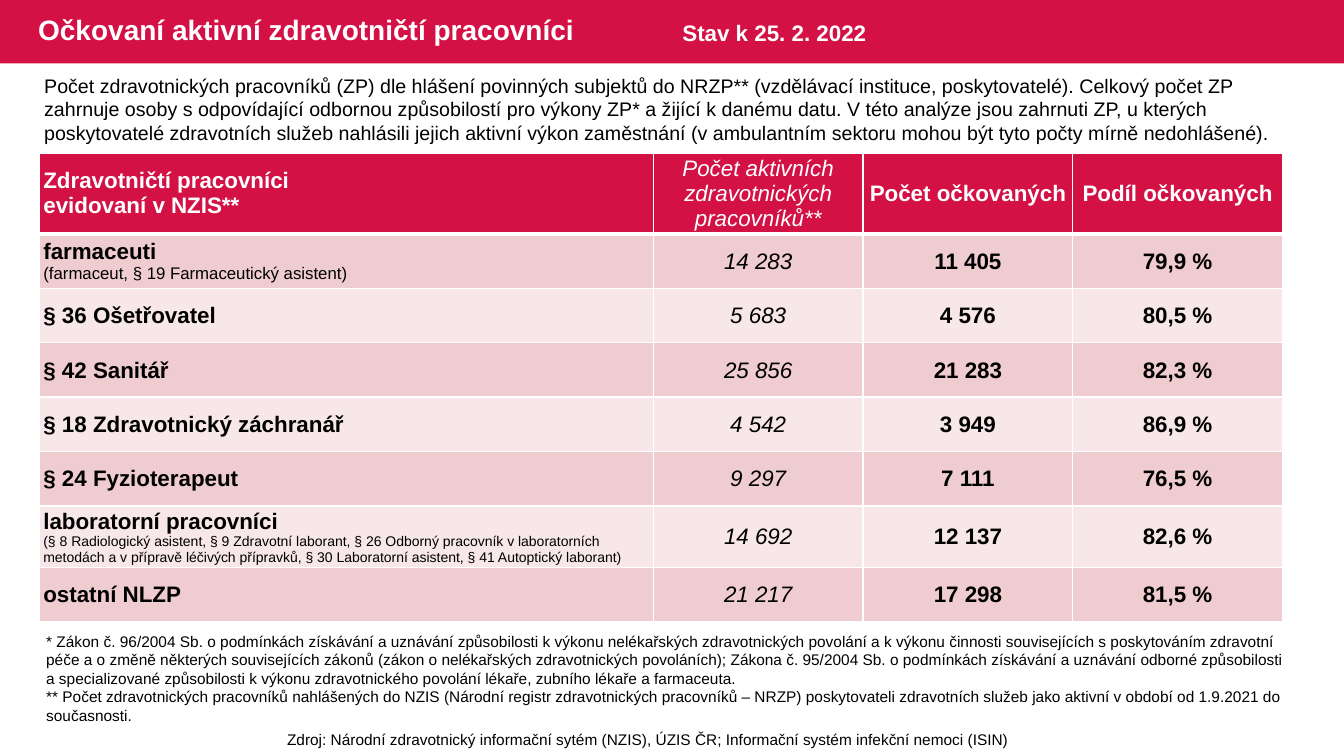
from dataclasses import dataclass

from lxml.etree import SubElement
from pptx import Presentation
from pptx.dml.color import RGBColor
from pptx.enum.shapes import MSO_SHAPE as Preset
from pptx.enum.text import MSO_ANCHOR as Anchor, PP_ALIGN as Align
from pptx.oxml.ns import qn
from pptx.slide import Slide
from pptx.table import _Cell as Cell
from pptx.text.text import TextFrame
from pptx.util import Emu, Pt

PX = 9144


@dataclass(frozen=True)
class Theme:
    font: str = "Arial"
    crimson: str = "D31145"
    dark_band: str = "EFCCCF"
    light_band: str = "F7E7E9"
    white: str = "FFFFFF"
    black: str = "000000"
    title: int = 20
    body: int = 16
    intro: int = 14
    detail: int = 12
    note: int = 11
    small: int = 10


THEME = Theme()


@dataclass(frozen=True)
class Line:
    text: str
    size: int
    color: str = THEME.black
    bold: bool = False
    italic: bool = False


@dataclass(frozen=True)
class Block:
    left: int
    top: int
    width: int
    height: int
    lines: tuple[Line, ...]
    align: Align = Align.LEFT
    anchor: Anchor = Anchor.TOP
    spacing: float = 1.0


@dataclass(frozen=True)
class Profession:
    name: str
    active: str
    vaccinated: str
    share: str
    detail: str = ""
    detail_size: int = THEME.detail
    height: int = 54


BLOCKS = (
    Block(28, 0, 813, 63,
          (Line("Očkovaní aktivní zdravotničtí pracovníci", THEME.title, THEME.white, True),),
          anchor=Anchor.MIDDLE, spacing=0.9),
    Block(36, 622, 1253, 103, (
        Line("* Zákon č. 96/2004 Sb. o podmínkách získávání a uznávání způsobilosti k výkonu "
             "nelékařských zdravotnických povolání a k výkonu činnosti souvisejících s poskytováním "
             "zdravotní péče a o změně některých souvisejících zákonů (zákon o nelékařských "
             "zdravotnických povoláních); Zákona č. 95/2004 Sb. o podmínkách získávání a uznávání "
             "odborné způsobilosti a specializované způsobilosti k výkonu zdravotnického povolání "
             "lékaře, zubního lékaře a farmaceuta.", THEME.note),
        Line("** Počet zdravotnických pracovníků nahlášených do NZIS (Národní registr zdravotnických "
             "pracovníků – NRZP) poskytovateli zdravotních služeb jako aktivní v období od 1.9.2021 "
             "do současnosti.", THEME.note),
    )),
    Block(34, 68, 1264, 81, (
        Line("Počet zdravotnických pracovníků (ZP) dle hlášení povinných subjektů do NRZP** "
             "(vzdělávací instituce, poskytovatelé). Celkový počet ZP zahrnuje osoby s odpovídající "
             "odbornou způsobilostí pro výkony ZP* a žijící k danému datu. V této analýze jsou "
             "zahrnuti ZP, u kterých poskytovatelé zdravotních služeb nahlásili jejich aktivní výkon "
             "zaměstnání (v ambulantním sektoru mohou být tyto počty mírně nedohlášené).",
             THEME.intro),
    )),
    Block(667, 14, 220, 37, (Line("Stav k 25. 2. 2022", THEME.body, THEME.white, True),)),
    Block(190, 719, 906, 29, (
        Line("Zdroj: Národní zdravotnický informační sytém (NZIS), ÚZIS ČR; "
             "Informační systém infekční nemoci (ISIN)", THEME.note),
    ), align=Align.CENTER),
)

COLUMN_WIDTHS = (609, 208, 208, 208)
HEADER_HEIGHT = 75
HEADINGS = (
    ("Zdravotničtí pracovníci", "evidovaní v NZIS**"),
    ("Počet aktivních zdravotnických pracovníků**",),
    ("Počet očkovaných",),
    ("Podíl očkovaných",),
)
ACTIVE_COLUMN = 1
PROFESSIONS = (
    Profession("farmaceuti", "14 283", "11 405", "79,9 %",
               "(farmaceut, § 19 Farmaceutický asistent)"),
    Profession("§ 36 Ošetřovatel", "5 683", "4 576", "80,5 %"),
    Profession("§ 42 Sanitář", "25 856", "21 283", "82,3 %"),
    Profession("§ 18 Zdravotnický záchranář", "4 542", "3 949", "86,9 %"),
    Profession("§ 24 Fyzioterapeut", "9 297", "7 111", "76,5 %"),
    Profession("laboratorní pracovníci", "14 692", "12 137", "82,6 %",
               "(§ 8 Radiologický asistent, § 9 Zdravotní laborant, § 26 Odborný pracovník v "
               "laboratorních metodách a v přípravě léčivých přípravků, § 30 Laboratorní asistent, "
               "§ 41 Autoptický laborant)", THEME.small, 57),
    Profession("ostatní NLZP", "21 217", "17 298", "81,5 %"),
)


def px(length: int) -> Emu:
    return Emu(length * PX)


def write_lines(frame: TextFrame, lines: tuple[Line, ...], align: Align,
                spacing: float = 1.0) -> None:
    for index, line in enumerate(lines):
        paragraph = frame.add_paragraph() if index else frame.paragraphs[0]
        paragraph.alignment = align
        paragraph.line_spacing = spacing
        run = paragraph.add_run()
        run.text = line.text
        run.font.name = THEME.font
        run.font.size = Pt(line.size)
        run.font.bold = line.bold
        run.font.italic = line.italic
        run.font.color.rgb = RGBColor.from_string(line.color)


def add_block(slide: Slide, block: Block) -> None:
    box = slide.shapes.add_textbox(px(block.left), px(block.top), px(block.width), px(block.height))
    frame = box.text_frame
    frame.word_wrap = True
    frame.vertical_anchor = block.anchor
    write_lines(frame, block.lines, block.align, block.spacing)


def add_banner(slide: Slide) -> None:
    banner = slide.shapes.add_shape(Preset.RECTANGLE, 0, 0, px(1333), px(63))
    banner.shadow.inherit = False
    banner.fill.solid()
    banner.fill.fore_color.rgb = RGBColor.from_string(THEME.crimson)
    banner.line.fill.background()


def set_borders(cell: Cell, top: int, bottom: int) -> None:
    properties = cell._tc.get_or_add_tcPr()
    for side, width in (("L", 1), ("R", 1), ("T", top), ("B", bottom)):
        border = SubElement(properties, qn(f"a:ln{side}"), w=str(Pt(width)))
        fill = SubElement(border, qn("a:solidFill"))
        SubElement(fill, qn("a:srgbClr"), val=THEME.white)


def fill_cell(cell: Cell, lines: tuple[Line, ...], column: int, fill: str,
              margins: tuple[int, int, int], top: int = 1, bottom: int = 1) -> None:
    set_borders(cell, top, bottom)
    cell.fill.solid()
    cell.fill.fore_color.rgb = RGBColor.from_string(fill)
    cell.vertical_anchor = Anchor.MIDDLE
    cell.margin_left, cell.margin_top, cell.margin_right = map(px, margins)
    cell.margin_bottom = 0
    write_lines(cell.text_frame, lines, Align.CENTER if column else Align.LEFT)


def add_profession_table(slide: Slide) -> None:
    heights = (HEADER_HEIGHT, *(profession.height for profession in PROFESSIONS))
    table = slide.shapes.add_table(len(heights), len(COLUMN_WIDTHS), px(39), px(152),
                                   px(sum(COLUMN_WIDTHS)), px(sum(heights))).table
    table.first_row = False
    table.horz_banding = False
    for column, width in zip(table.columns, COLUMN_WIDTHS):
        column.width = px(width)
    for row, height in zip(table.rows, heights):
        row.height = px(height)

    for column, heading in enumerate(HEADINGS):
        active = column == ACTIVE_COLUMN
        lines = tuple(Line(text, THEME.body, THEME.white, not active, active) for text in heading)
        fill_cell(table.cell(0, column), lines, column, THEME.crimson, (4, 0, 4), bottom=3)

    for row, profession in enumerate(PROFESSIONS, start=1):
        band = THEME.dark_band if row % 2 else THEME.light_band
        values = (profession.name, profession.active, profession.vaccinated, profession.share)
        for column, value in enumerate(values):
            active = column == ACTIVE_COLUMN
            lines = (Line(value, THEME.body, bold=not active, italic=active),)
            if column == 0 and profession.detail:
                lines += (Line(profession.detail, profession.detail_size),)
            fill_cell(table.cell(row, column), lines, column, band,
                      (1 if column else 4, 1, 1), top=3 if row == 1 else 1)


def main() -> None:
    deck = Presentation()
    deck.slide_width, deck.slide_height = px(1333), px(750)
    slide = deck.slides.add_slide(deck.slide_layouts[6])
    add_banner(slide)
    *texts, source = BLOCKS
    for block in texts:
        add_block(slide, block)
    add_profession_table(slide)
    add_block(slide, source)
    deck.save("out.pptx")


if __name__ == "__main__":
    main()
